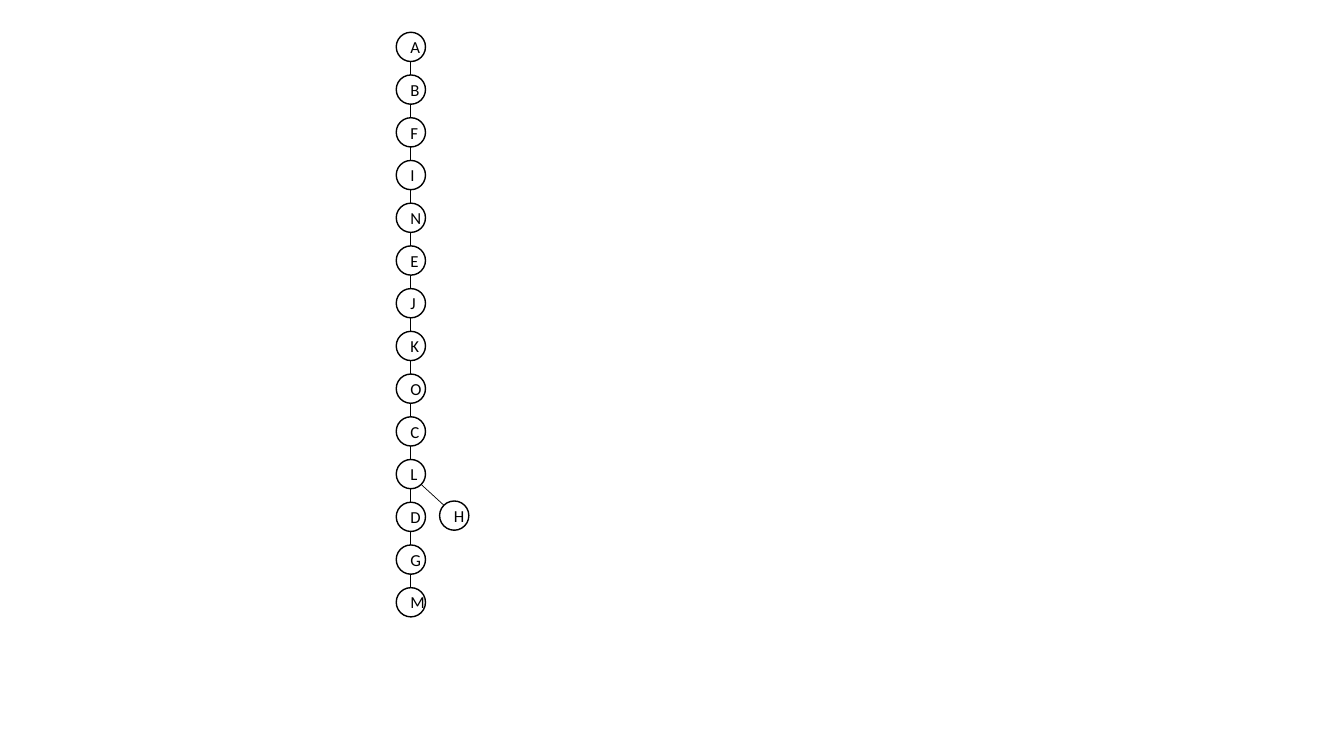
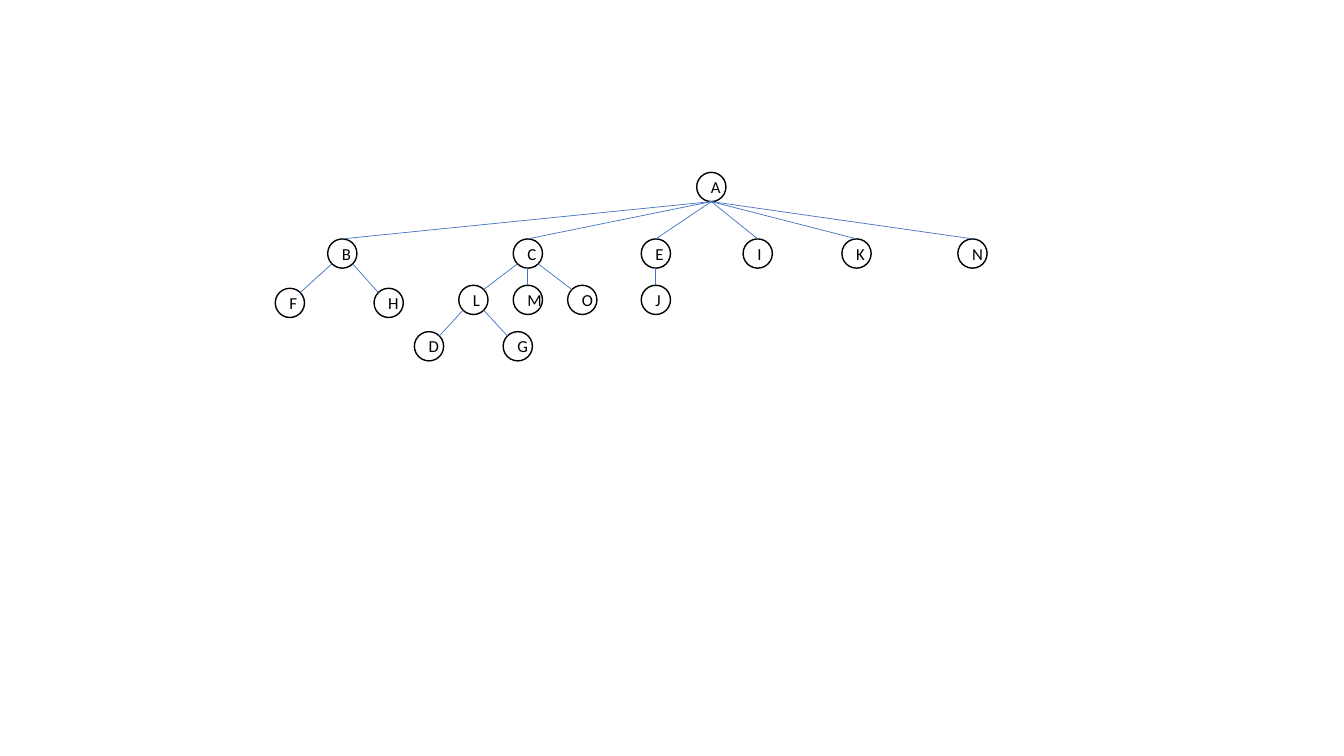
"""Draw two trees over the same letters: one deep chain and one wide tree."""
from dataclasses import dataclass
from itertools import pairwise
from math import sqrt

from lxml.etree import SubElement
from pptx import Presentation
from pptx.dml.color import RGBColor
from pptx.enum.shapes import MSO_CONNECTOR, MSO_SHAPE
from pptx.enum.text import MSO_ANCHOR, PP_ALIGN
from pptx.oxml.ns import qn
from pptx.util import Inches, Pt


@dataclass(frozen=True)
class Theme:
    ink: RGBColor = RGBColor(0, 0, 0)
    paper: RGBColor = RGBColor(255, 255, 255)
    blue: RGBColor = RGBColor(0x44, 0x72, 0xC4)
    font: str = "Calibri"
    text: Pt = Pt(12)
    ring: Pt = Pt(1)
    edge: Pt = Pt(0.5)
    size: float = 0.29


theme = Theme()


def add_node(shapes, name, left, top):
    node = shapes.add_shape(MSO_SHAPE.OVAL, Inches(left), Inches(top),
                            Inches(theme.size), Inches(theme.size))
    node.shadow.inherit = False
    node.fill.solid()
    node.fill.fore_color.rgb = theme.paper
    node.line.color.rgb = theme.ink
    node.line.width = theme.ring
    frame = node.text_frame
    frame.text = name
    frame.vertical_anchor = MSO_ANCHOR.MIDDLE
    para = frame.paragraphs[0]
    para.alignment = PP_ALIGN.CENTER
    para.font.name = theme.font
    para.font.size = theme.text
    para.font.color.rgb = theme.ink


def add_edge(shapes, start, end, lean, color):
    half = theme.size / 2
    reach = half / sqrt(2) if lean else half
    shift = lean * reach
    line = shapes.add_connector(
        MSO_CONNECTOR.STRAIGHT,
        Inches(start[0] + half + shift), Inches(start[1] + half + reach),
        Inches(end[0] + half - shift), Inches(end[1] + half - reach))
    line.line.color.rgb = color
    line.line.width = theme.edge
    SubElement(line._element.spPr, qn("a:effectLst"))


chain = "ABFINEJKOCLDGM"
first, last = 0.32, 5.83
step = (last - first) / (len(chain) - 1)
deep = {name: (3.93, first + i * step) for i, name in enumerate(chain)}
deep["H"] = (4.36, 4.97)

rows = [
    (1.71, {"A": 6.91}),
    (2.37, {"B": 3.25, "C": 5.09, "E": 6.36, "I": 7.37, "K": 8.35, "N": 9.5}),
    (2.86, {"F": 2.73, "H": 3.71}),
    (2.83, {"L": 4.55, "M": 5.09, "O": 5.63, "J": 6.36}),
    (3.29, {"D": 4.11, "G": 4.99}),
]
wide = {name: (left, top) for top, row in rows for name, left in row.items()}
kids = {"A": "BCEIKN", "B": "FH", "C": "LMO", "E": "J", "L": "DG"}

trees = [
    (deep, [*pairwise(chain), ("L", "H")], theme.ink),
    (wide, [(top, kid) for top, row in kids.items() for kid in row], theme.blue),
]

deck = Presentation()
deck.slide_width = Inches(13.33)
deck.slide_height = Inches(7.5)

for spots, edges, color in trees:
    slide = deck.slides.add_slide(deck.slide_layouts[6])
    shapes = slide.shapes.add_group_shape().shapes
    for name, (left, top) in spots.items():
        add_node(shapes, name, left, top)
    for head, kid in edges:
        start, end = spots[head], spots[kid]
        lean = 0 if head == "A" else (end[0] > start[0]) - (end[0] < start[0])
        add_edge(shapes, start, end, lean, color)

deck.save("out.pptx")
